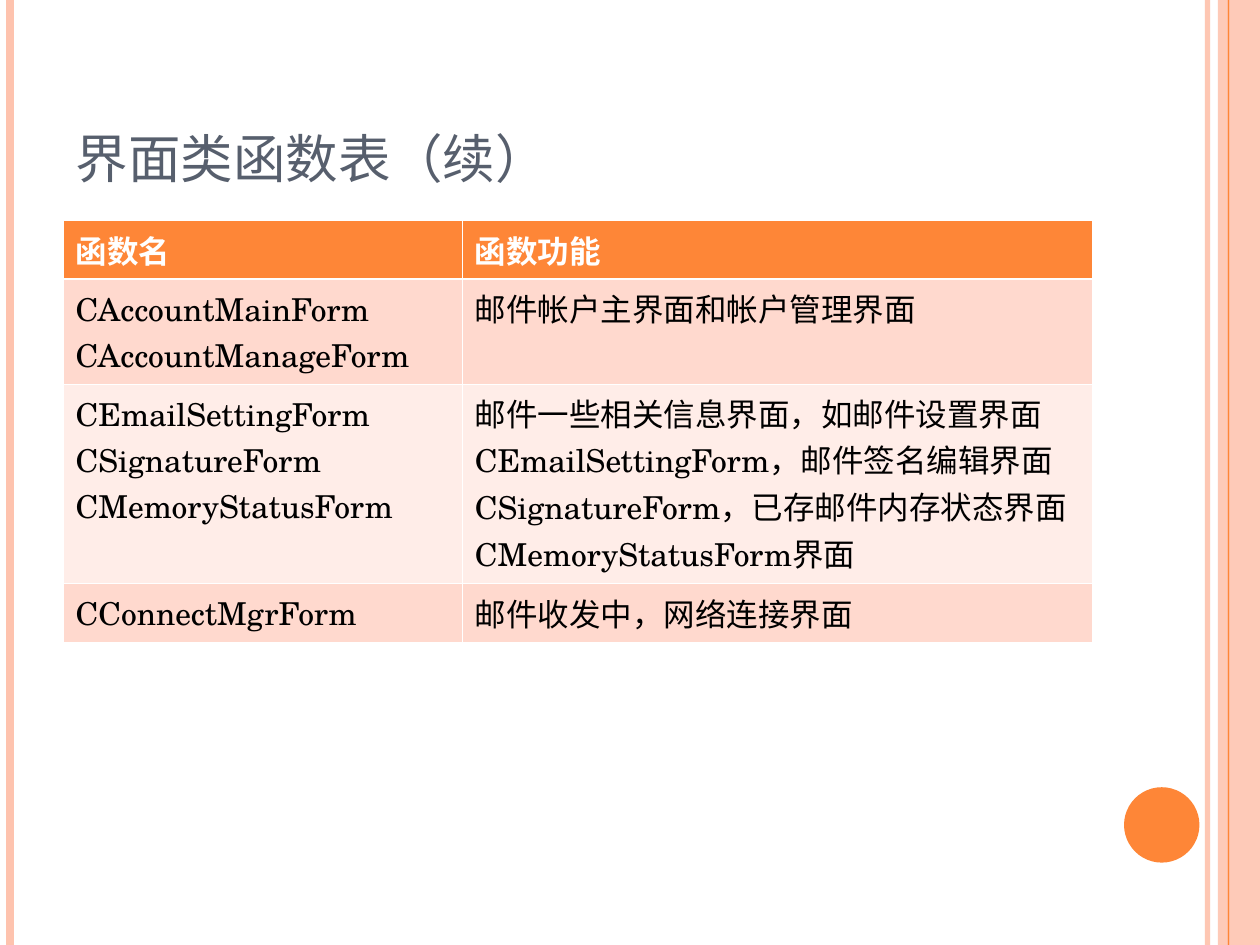
from dataclasses import dataclass

from lxml.etree import SubElement
from pptx import Presentation
from pptx.dml.color import RGBColor as RGB
from pptx.enum.shapes import MSO_CONNECTOR as Conn, MSO_SHAPE as Shape
from pptx.enum.text import MSO_ANCHOR as Anchor, MSO_AUTO_SIZE as Fit, PP_ALIGN as Align
from pptx.oxml.ns import qn
from pptx.util import Cm, Pt


@dataclass(frozen=True)
class Theme:
    font: str = "TeX Gyre Schola"
    accent: str = "FE8637"
    pale: str = "FEC3AE"
    heading: str = "575F6D"
    text: str = "000000"
    white: str = "FFFFFF"
    bands: tuple = ("FFD9CE", "FFEDE8")
    title_size: float = 30
    table_size: float = 18
    border: float = 0.45
    header_border: float = 1.47


class Deck:
    def __init__(self, theme):
        self.theme = theme
        self.prs = Presentation()
        self.prs.slide_width, self.prs.slide_height = Cm(25.4), Cm(19.05)
        self.s = None

    def slide(self):
        self.s = self.prs.slides.add_slide(self.prs.slide_layouts[5])

    def alpha(self, sp, percent):
        for clr in sp._element.spPr.iter(qn("a:srgbClr")):
            SubElement(clr, qn("a:alpha"), val=str(percent * 1000))

    def rule(self, x, color, width, opacity=100):
        sp = self.s.shapes.add_connector(Conn.STRAIGHT, Cm(x), 0, Cm(x), self.prs.slide_height)
        sp.line.color.rgb = RGB.from_string(color)
        sp.line.width = Pt(width)
        if opacity < 100:
            self.alpha(sp, opacity)
        SubElement(sp._element.spPr, qn("a:effectLst"))

    def shape(self, kind, x, y, w, h, color, opacity=100):
        sp = self.s.shapes.add_shape(kind, Cm(x), Cm(y), Cm(w), Cm(h))
        sp.shadow.inherit = False
        sp.fill.solid()
        sp.fill.fore_color.rgb = RGB.from_string(color)
        sp.line.fill.background()
        if opacity < 100:
            self.alpha(sp, opacity)

    def run(self, p, text, size, color, bold=False):
        r = p.add_run()
        r.text = text
        r.font.name = self.theme.font
        r.font.size = Pt(size)
        r.font.bold = bold
        r.font.color.rgb = RGB.from_string(color)

    def title(self, text, x, y, w, h):
        sp = self.s.shapes.title
        sp.left, sp.top, sp.width, sp.height = Cm(x), Cm(y), Cm(w), Cm(h)
        tf = sp.text_frame
        tf.auto_size = Fit.NONE
        tf.vertical_anchor = Anchor.BOTTOM
        p = tf.paragraphs[0]
        p.alignment = Align.LEFT
        self.run(p, text, self.theme.title_size, self.theme.heading)

    def borders(self, cell, row):
        t = self.theme
        widths = {
            "lnL": t.border,
            "lnR": t.border,
            "lnT": t.header_border if row == 1 else t.border,
            "lnB": t.header_border if row == 0 else t.border,
        }
        tc_pr = cell._tc.get_or_add_tcPr()
        for side, width in widths.items():
            ln = SubElement(tc_pr, qn(f"a:{side}"), w=str(Pt(width)))
            SubElement(SubElement(ln, qn("a:solidFill")), qn("a:srgbClr"), val=t.white)

    def table(self, rows, x, y, widths, heights):
        t = self.theme
        table = self.s.shapes.add_table(
            len(rows), len(widths), Cm(x), Cm(y), Cm(sum(widths)), Cm(sum(heights))
        ).table
        for col, width in zip(table.columns, widths):
            col.width = Cm(width)
        for i, (row, height) in enumerate(zip(rows, heights)):
            table.rows[i].height = Cm(height)
            header = i == 0
            for j, lines in enumerate(row):
                cell = table.cell(i, j)
                self.borders(cell, i)
                cell.fill.solid()
                cell.fill.fore_color.rgb = RGB.from_string(t.accent if header else t.bands[(i - 1) % 2])
                tf = cell.text_frame
                for k, line in enumerate(lines):
                    p = tf.add_paragraph() if k else tf.paragraphs[0]
                    self.run(p, line, t.table_size, t.white if header else t.text, header)

    def save(self):
        self.prs.save("out.pptx")


ROWS = [
    (["函数名"], ["函数功能"]),
    (["CAccountMainForm", "CAccountManageForm"], ["邮件帐户主界面和帐户管理界面"]),
    (
        ["CEmailSettingForm", "CSignatureForm", "CMemoryStatusForm"],
        [
            "邮件一些相关信息界面，如邮件设置界面CEmailSettingForm，邮件签名编辑界面"
            "CSignatureForm，已存邮件内存状态界面CMemoryStatusForm界面"
        ],
    ),
    (["CConnectMgrForm"], ["邮件收发中，网络连接界面"]),
]


def main():
    theme = Theme()
    deck = Deck(theme)
    deck.slide()
    deck.rule(24.34, theme.pale, 3, 93)
    deck.rule(0.21, theme.pale, 4.5)
    deck.rule(24.77, theme.accent, 1.5)
    deck.shape(Shape.RECTANGLE, 24.55, 0, 0.85, 19.05, theme.pale, 87)
    deck.rule(24.77, theme.accent, 0.75)
    deck.shape(Shape.OVAL, 22.66, 15.87, 1.52, 1.52, theme.accent)
    deck.title("界面类函数表（续）", 1.27, 0.76, 20.75, 3.18)
    deck.table(ROWS, 1.27, 4.45, (8.05, 12.7), (1.02, 1.78, 3.3, 1.02))
    deck.save()


if __name__ == "__main__":
    main()
